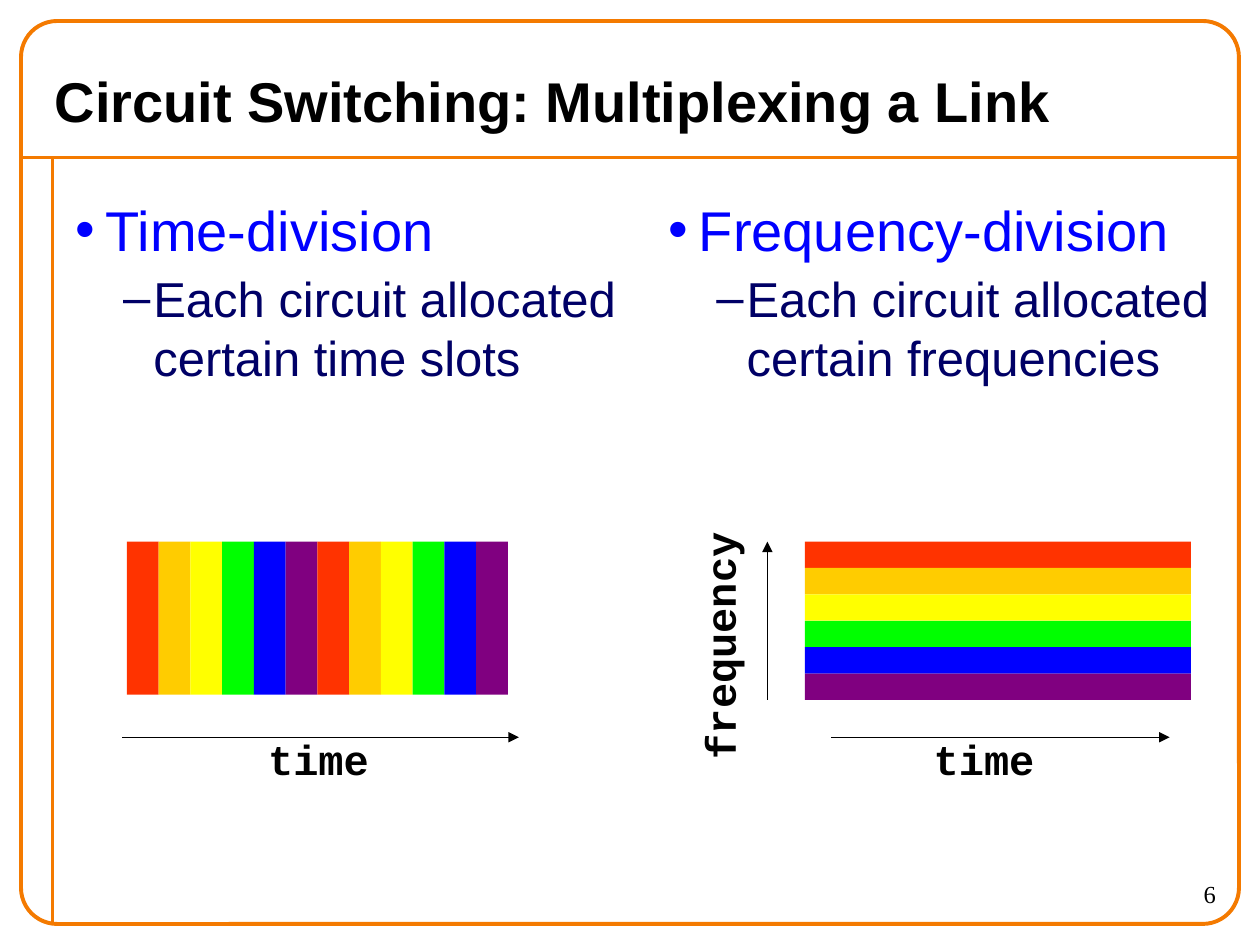
from itertools import cycle, islice

from lxml.etree import SubElement
from pptx import Presentation
from pptx.dml.color import RGBColor
from pptx.enum.shapes import MSO_CONNECTOR as Connector, MSO_SHAPE as Shape
from pptx.enum.text import MSO_ANCHOR as Anchor, MSO_AUTO_SIZE as AutoSize, PP_ALIGN as Align
from pptx.oxml.ns import qn
from pptx.util import Pt

ORANGE, BLACK, BLUE, NAVY = "F47A00", "000000", "0000FF", "000066"
CIRCUITS = ["FF3300", "FFCC00", "FFFF00", "00FF00", "0000FF", "800080"]

TITLE = dict(name="Arial", size=Pt(32), bold=True)
TOPIC = dict(name="Arial", size=Pt(32))
DETAIL = dict(name="Arial", size=Pt(28))
AXIS = dict(name="Courier New", size=Pt(24), bold=True)
NUMBER = dict(name="Times New Roman", size=Pt(14))


def rgb(color):
    return RGBColor.from_string(color)


def write(paragraph, text, style, color=BLACK):
    run = paragraph.add_run()
    run.text = text
    for key, value in style.items():
        setattr(run.font, key, value)
    run.font.color.rgb = rgb(color)


def add_line(slide, start, end, color=BLACK, width=0.75, arrow=False):
    line = slide.shapes.add_connector(Connector.STRAIGHT, *map(Pt, start + end))
    line.line.color.rgb = rgb(color)
    line.line.width = Pt(width)
    properties = line._element.spPr
    if arrow:
        SubElement(properties.find(qn("a:ln")), qn("a:tailEnd"), type="triangle")
    SubElement(properties, qn("a:effectLst"))


def add_text_box(slide, left, top, width, height, wrap=True):
    box = slide.shapes.add_textbox(*map(Pt, (left, top, width, height)))
    box.text_frame.word_wrap = wrap
    return box


def add_label(slide, text, left, top, width, height, style=AXIS, align=Align.CENTER, rotation=0):
    box = add_text_box(slide, left, top, width, height, wrap=False)
    box.rotation = rotation
    paragraph = box.text_frame.paragraphs[0]
    paragraph.alignment = align
    write(paragraph, text, style)


def add_bullet(paragraph, text, style, color, mark, indent, space):
    paragraph.space_before = Pt(space)
    properties = paragraph._p.get_or_add_pPr()
    properties.set("marL", str(Pt(indent)))
    properties.set("indent", str(Pt(-17.3)))
    SubElement(SubElement(properties, qn("a:buClr")), qn("a:srgbClr"), val=color)
    SubElement(properties, qn("a:buFont"), typeface="Arial")
    SubElement(properties, qn("a:buChar"), char=mark)
    write(paragraph, text, style, color)


def add_column(slide, left, topic, detail):
    frame = add_text_box(slide, left, 108, 327, 134).text_frame
    add_bullet(frame.paragraphs[0], topic, TOPIC, BLUE, "•", 17.3, 20)
    second = frame.add_paragraph()
    second.level = 1
    add_bullet(second, detail, DETAIL, NAVY, "–", 44.6, 3.5)


def add_stripes(slide, left, top, width, height, count, across):
    """Split an area into equal stripes, side by side or stacked."""
    step_x, step_y = (width / count, 0) if across else (0, height / count)
    for i, color in enumerate(islice(cycle(CIRCUITS), count)):
        stripe = slide.shapes.add_shape(
            Shape.RECTANGLE, Pt(left + i * step_x), Pt(top + i * step_y),
            Pt(step_x or width), Pt(step_y or height))
        stripe.shadow.inherit = False
        stripe.fill.solid()
        stripe.fill.fore_color.rgb = rgb(color)
        stripe.line.fill.background()


def add_frame(slide):
    add_line(slide, (12, 90), (708, 90), ORANGE, 2.25)
    add_line(slide, (30, 90), (30, 528), ORANGE, 2.25)
    border = slide.shapes.add_shape(Shape.ROUNDED_RECTANGLE, Pt(12), Pt(12), Pt(696), Pt(516))
    border.adjustments[0] = 0.04
    border.shadow.inherit = False
    border.fill.background()
    border.line.color.rgb = rgb(ORANGE)
    border.line.width = Pt(2.25)


def add_title(slide, text):
    title = slide.shapes.title
    place = dict(left=24, top=30, width=635, height=54)
    for key, value in place.items():
        setattr(title, key, Pt(value))
    frame = title.text_frame
    frame.auto_size = AutoSize.NONE
    frame.vertical_anchor = Anchor.MIDDLE
    frame.paragraphs[0].alignment = Align.LEFT
    write(frame.paragraphs[0], text, TITLE)


def main():
    deck = Presentation()
    deck.slide_width, deck.slide_height = Pt(720), Pt(540)
    slide = deck.slides.add_slide(deck.slide_layouts[5])

    # Frame and heading
    add_frame(slide)
    add_title(slide, "Circuit Switching: Multiplexing a Link")

    # Time-division: slots side by side
    add_column(slide, 36, "Time-division", "Each circuit allocated certain time slots")
    add_stripes(slide, 72.6, 309.5, 217.7, 87.5, 12, across=True)
    add_line(slide, (69.8, 421.3), (296.5, 421.3), arrow=True)
    add_label(slide, "time", 146, 415.5, 72, 36)

    # Frequency-division: stacked bands
    add_column(slide, 375, "Frequency-division", "Each circuit allocated certain frequencies")
    add_stripes(slide, 460, 309.5, 220.6, 90.5, 6, across=False)
    add_line(slide, (438.5, 400), (438.5, 309.5), arrow=True)
    add_label(slide, "frequency", 339, 351, 144, 36, rotation=270)
    add_line(slide, (475, 421.3), (668.3, 421.3), arrow=True)
    add_label(slide, "time", 526.3, 415.5, 72, 36)

    # Slide number
    add_label(slide, "6", 630, 498.5, 72, 30, NUMBER, Align.RIGHT)

    deck.save("out.pptx")


if __name__ == "__main__":
    main()
